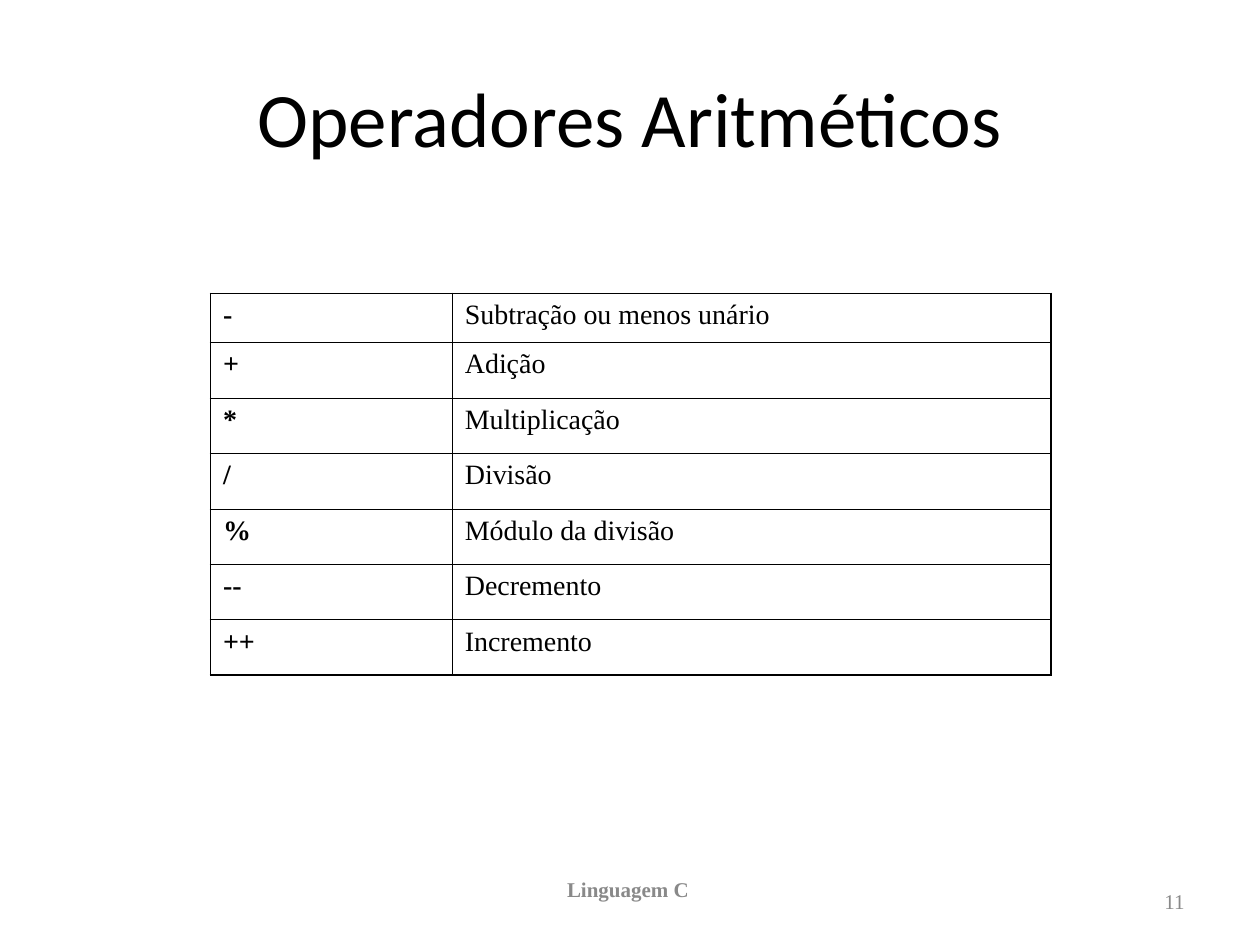
from typing import NamedTuple, Optional

import pptx
import pptx.dml.color
import pptx.enum.text
import pptx.oxml
import pptx.oxml.ns
import pptx.util

Inches = pptx.util.Inches
Pt = pptx.util.Pt
ALIGN = pptx.enum.text.PP_ALIGN
ANCHOR = pptx.enum.text.MSO_ANCHOR

BLACK = pptx.dml.color.RGBColor(0x00, 0x00, 0x00)
GRAY = pptx.dml.color.RGBColor(0x89, 0x89, 0x89)
SERIF = "Times New Roman"
OUTER_WIDTH = Pt(1.08)
INNER_WIDTH = Pt(0.45)


class Operator(NamedTuple):
    symbol: str
    meaning: str


class FooterItem(NamedTuple):
    text: str
    left: float
    width: float
    align: ALIGN
    anchor: ANCHOR
    top_margin: float
    bold: bool


OPERATORS = [
    Operator("-", "Subtração ou menos unário"),
    Operator("+", "Adição"),
    Operator("*", "Multiplicação"),
    Operator("/", "Divisão"),
    Operator("%", "Módulo da divisão"),
    Operator("--", "Decremento"),
    Operator("++", "Incremento"),
]
FOOTER = [
    FooterItem("Linguagem C ", 3.42, 3.17, ALIGN.CENTER, ANCHOR.TOP, 0.01, True),
    FooterItem("11", 7.17, 2.33, ALIGN.RIGHT, ANCHOR.MIDDLE, 0.05, False),
]
COLUMN_WIDTHS = [1.92, 4.75]
ROW_HEIGHTS = [0.39] + [0.44] * (len(OPERATORS) - 1)


def write_text(frame, text: str, *, size: float, font: str = SERIF,
               color=BLACK, bold: bool = False, align=ALIGN.LEFT,
               space_before: Optional[float] = None) -> None:
    paragraph = frame.paragraphs[0]
    paragraph.alignment = align
    if space_before is not None:
        paragraph.space_before = Pt(space_before)
    run = paragraph.add_run()
    run.text = text
    run.font.size = Pt(size)
    run.font.name = font
    run.font.bold = bold
    run.font.color.rgb = color


def set_borders(cell, widths: dict) -> None:
    """Draw cell borders; widths maps L, R, T and B, in that order, to lengths."""
    properties = cell._tc.get_or_add_tcPr()
    for position, (side, width) in enumerate(widths.items()):
        properties.insert(position, pptx.oxml.parse_xml(
            f'<a:ln{side} {pptx.oxml.ns.nsdecls("a")} w="{int(width)}">'
            f'<a:solidFill><a:srgbClr val="{BLACK}"/></a:solidFill></a:ln{side}>'))


def add_title(slide, text: str) -> None:
    title = slide.shapes.title
    title.left, title.top = Inches(0.5), Inches(0.3)
    title.width, title.height = Inches(9), Inches(1.25)
    title.text_frame.vertical_anchor = ANCHOR.MIDDLE
    write_text(title.text_frame, text, size=44, font="Calibri", align=ALIGN.CENTER)


def add_operator_table(slide, operators: list[Operator]) -> None:
    last_row, last_column = len(operators) - 1, len(COLUMN_WIDTHS) - 1
    table = slide.shapes.add_table(
        len(operators), len(COLUMN_WIDTHS), Inches(1.67), Inches(2.33),
        Inches(sum(COLUMN_WIDTHS)), Inches(sum(ROW_HEIGHTS))).table
    table.first_row = table.horz_banding = False
    for column, width in zip(table.columns, COLUMN_WIDTHS):
        column.width = Inches(width)
    for row, height in zip(table.rows, ROW_HEIGHTS):
        row.height = Inches(height)
    for r, operator in enumerate(operators):
        for c, text in enumerate(operator):
            cell = table.cell(r, c)
            cell.fill.background()
            write_text(cell.text_frame, text, size=16, bold=c == 0, space_before=4)
            on_edge = {"L": c == 0, "R": c == last_column,
                       "T": r == 0, "B": r == last_row}
            set_borders(cell, {side: OUTER_WIDTH if outer else INNER_WIDTH
                               for side, outer in on_edge.items()})


def add_footer_item(slide, item: FooterItem) -> None:
    frame = slide.shapes.add_textbox(
        Inches(item.left), Inches(6.95), Inches(item.width), Inches(0.4)).text_frame
    frame.word_wrap = True
    frame.vertical_anchor = item.anchor
    frame.margin_top = Inches(item.top_margin)
    write_text(frame, item.text, size=12, color=GRAY, bold=item.bold, align=item.align)


def main() -> None:
    presentation = pptx.Presentation()
    presentation.slide_width, presentation.slide_height = Inches(10), Inches(7.5)
    slide = presentation.slides.add_slide(presentation.slide_layouts[5])
    add_title(slide, "Operadores Aritméticos")
    for item in FOOTER:
        add_footer_item(slide, item)
    add_operator_table(slide, OPERATORS)
    presentation.save("out.pptx")


if __name__ == "__main__":
    main()
